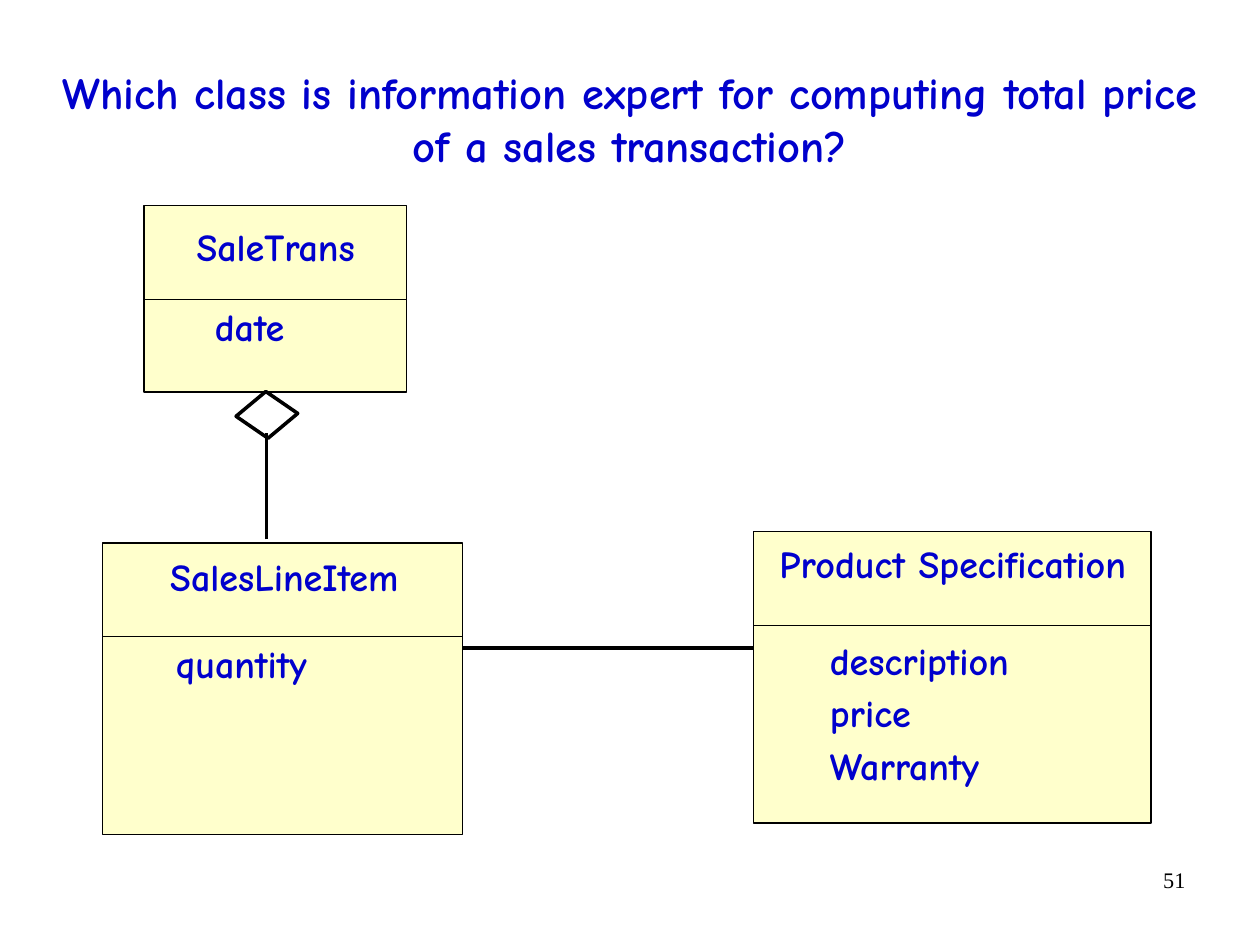
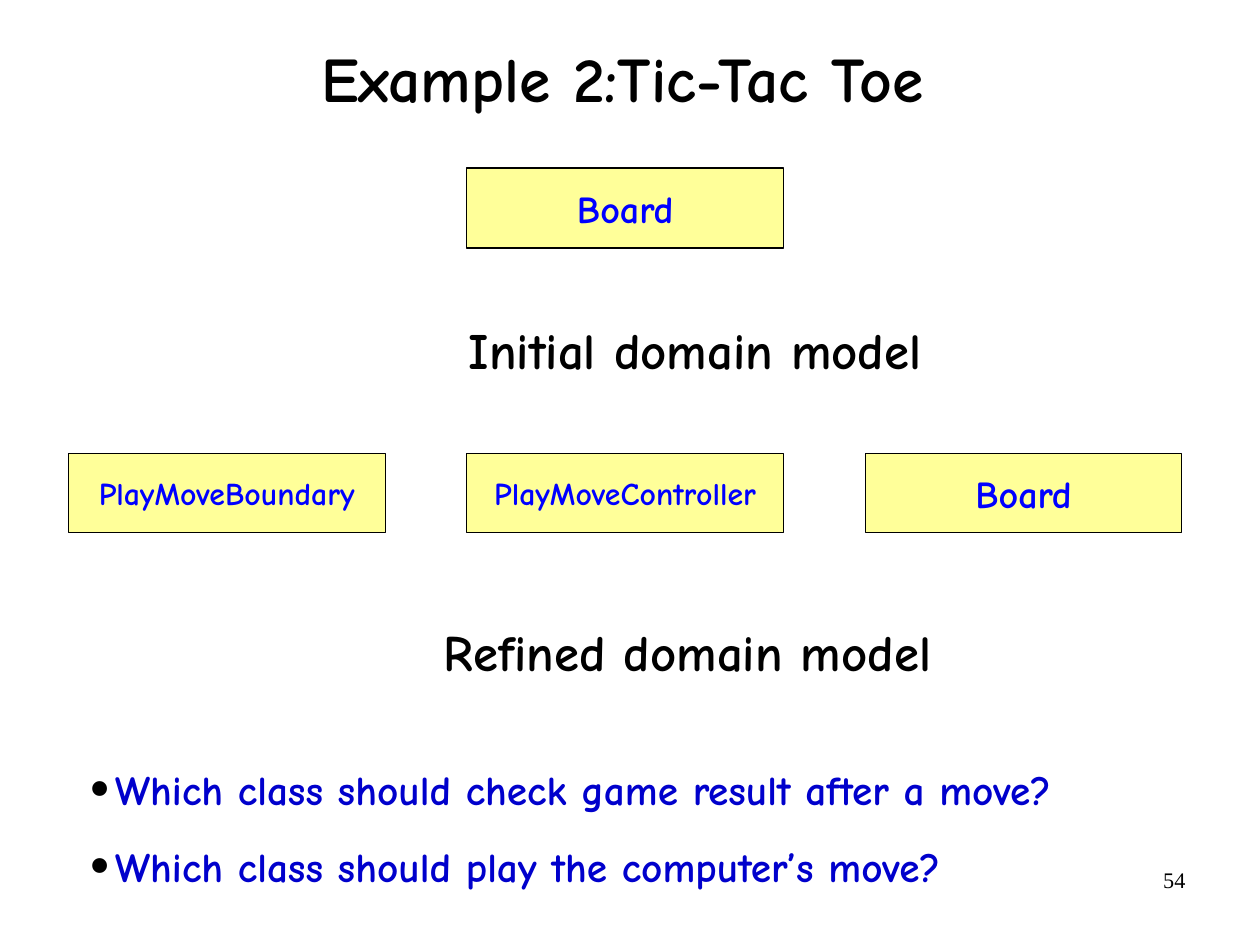
import pptx
import pptx.util
import pptx.dml.color
import pptx.enum.shapes
import pptx.enum.text
from lxml import etree
from pptx.oxml.ns import qn

Inches, Pt = pptx.util.Inches, pptx.util.Pt
ALIGN = pptx.enum.text.PP_ALIGN
ANCHOR = pptx.enum.text.MSO_ANCHOR
SHAPE = pptx.enum.shapes.MSO_SHAPE


class Theme:
    font, serif = "Comic Neue", "Times New Roman"
    black, navy, blue = "000000", "0000CC", "0000FF"
    cream, yellow = "FFFFCC", "FFFF99"
    head, label, prompt, ask, name, long, page = 40, 32, 28, 26, 24, 20, 14
    thin, thick = 0.75, 2.25
    inset = (0.11, 0.06)


# Page of 28 by 21 centimetres
SIZE = (28 / 2.54, 21 / 2.54)

# Content: class name, box, name place, attributes, attribute place
PROMPT = "Which class is information expert for computing total price of a sales transaction?"
CLASSES = [
    ("SaleTrans", (1.26, 1.8, 2.3, 1.63), (1.61, 1.97, 1.62, 0.43),
     ["date"], (1.77, 2.67, 0.84, 0.43)),
    ("Product Specification", (6.59, 4.65, 3.48, 2.55), (6.71, 4.75, 3.26, 0.43),
     ["description", "price", "Warranty"], (7.15, 5.52, 1.79, 1.42)),
    ("SalesLineItem", (0.9, 4.75, 3.15, 2.55), (1.38, 4.86, 2.23, 0.43),
     ["quantity"], (1.43, 5.62, 1.37, 0.43)),
]
LINKS = [((4.05, 5.67), (6.59, 5.67)), ((2.33, 4.72), (2.33, 3.79))]
DIVIDE = 0.82

GAME = "Example 2:Tic-Tac Toe"
# Model rows: top, height, {column: (class, size)}
MODELS = [
    (1.47, 0.7, {1: ("Board", Theme.name)}),
    (3.97, 0.69, {0: ("PlayMoveBoundary", Theme.long),
                  1: ("PlayMoveController", Theme.long),
                  2: ("Board", Theme.name)}),
]
LABELS = [("Initial domain model", (3.99, 2.73, 4.19, 0.64)),
          ("Refined domain model", (3.77, 5.37, 4.49, 0.64))]
ASKS = ["Which class should check game result after a move?",
        "Which class should play the computer’s move?"]
LEFT, RIGHT, WIDE = 0.6, 10.34, 2.77


def rgb(code):
    return pptx.dml.color.RGBColor.from_string(code)


def bullet(para):
    props = para._p.get_or_add_pPr()
    props.set("marL", str(Inches(0.23)))
    props.set("indent", str(-Inches(0.23)))
    tint = etree.SubElement(props, qn("a:buClr"))
    etree.SubElement(tint, qn("a:srgbClr")).set("val", Theme.black)
    etree.SubElement(props, qn("a:buSzPct")).set("val", "150000")
    etree.SubElement(props, qn("a:buFont")).set("typeface", Theme.serif)
    etree.SubElement(props, qn("a:buChar")).set("char", "•")


def write(shape, lines, size, color, align=ALIGN.LEFT, inset=Theme.inset, wrap=True,
          mid=False, space=None, after=0, dots=False, font=Theme.font, bold=True):
    frame = shape.text_frame
    frame.word_wrap = wrap
    frame.vertical_anchor = ANCHOR.MIDDLE if mid else ANCHOR.TOP
    frame.margin_left = frame.margin_right = Inches(inset[0])
    frame.margin_top = frame.margin_bottom = Inches(inset[1])
    for i, line in enumerate(lines):
        para = frame.add_paragraph() if i else frame.paragraphs[0]
        if dots:
            bullet(para)
        para.alignment = align
        para.line_spacing = space
        para.space_after = Pt(after)
        run = para.add_run()
        run.text = line
        run.font.name, run.font.size, run.font.bold = font, Pt(size), bold
        run.font.color.rgb = rgb(color)


def text(slide, place, lines, size, color, **style):
    box = slide.shapes.add_textbox(*map(Inches, place))
    write(box, lines, size, color, **style)


def block(slide, kind, place, fill, width):
    shape = slide.shapes.add_shape(kind, *map(Inches, place))
    shape.shadow.inherit = False
    if fill:
        shape.fill.solid()
        shape.fill.fore_color.rgb = rgb(fill)
    else:
        shape.fill.background()
    shape.line.color.rgb = rgb(Theme.black)
    shape.line.width = Pt(width)
    return shape


def link(slide, start, end, width):
    line = slide.shapes.add_connector(
        pptx.enum.shapes.MSO_CONNECTOR.STRAIGHT, *map(Inches, start + end))
    line.line.color.rgb = rgb(Theme.black)
    line.line.width = Pt(width)
    etree.SubElement(line._element.spPr, qn("a:effectLst"))


def page(deck, number):
    slide = deck.slides.add_slide(deck.slide_layouts[6])
    text(slide, (7.9, 7.53, 2.57, 0.57), [number], Theme.page, Theme.black,
         align=ALIGN.RIGHT, inset=(0.1, 0.05), font=Theme.serif, bold=False)
    return slide


def sales(deck):
    slide = page(deck, "51")
    text(slide, (0.21, 0.51, 10.6, 1.04), [PROMPT], Theme.prompt, Theme.navy,
         align=ALIGN.CENTER)
    # Class boxes with a line under each name
    for name, box, spot, attrs, area in CLASSES:
        block(slide, SHAPE.RECTANGLE, box, Theme.cream, Theme.thin)
        text(slide, spot, [name], Theme.name, Theme.navy, wrap=False, space=0.8)
        many = len(attrs) > 1
        text(slide, area, attrs, Theme.name, Theme.navy, wrap=False,
             space=None if many else 0.8, after=4 if many else 0)
        x, y, w, h = box
        link(slide, (x, y + DIVIDE), (x + w, y + DIVIDE), Theme.thin)
    # Relations and the aggregation diamond
    for start, end in LINKS:
        link(slide, start, end, Theme.thick)
    gem = block(slide, SHAPE.FLOWCHART_DECISION, (2.13, 3.36, 0.41, 0.54), None, Theme.thick)
    gem.rotation = 87.3


def game(deck):
    slide = page(deck, "54")
    text(slide, (0.76, 0, 9.37, 1.42), [GAME], Theme.head, Theme.black,
         align=ALIGN.CENTER, inset=(0.02, 0.06), mid=True, space=0.94)
    # Three evenly spread columns
    step = (RIGHT - LEFT - WIDE) / 2
    for top, high, cells in MODELS:
        for col, (name, size) in cells.items():
            box = block(slide, SHAPE.RECTANGLE, (LEFT + col * step, top, WIDE, high),
                        Theme.yellow, Theme.thin)
            write(box, [name], size, Theme.blue, align=ALIGN.CENTER, inset=(0, 0), mid=True)
    for label, place in LABELS:
        text(slide, place, [label], Theme.label, Theme.black, wrap=False)
    # Questions
    text(slide, (0.68, 6.55, 10.08, 1.29), ASKS, Theme.ask, Theme.navy,
         inset=(0.1, 0.05), space=1.2, after=10.9, dots=True)


def main():
    deck = pptx.Presentation()
    deck.slide_width, deck.slide_height = map(Inches, SIZE)
    sales(deck)
    game(deck)
    deck.save("out.pptx")


if __name__ == "__main__":
    main()
